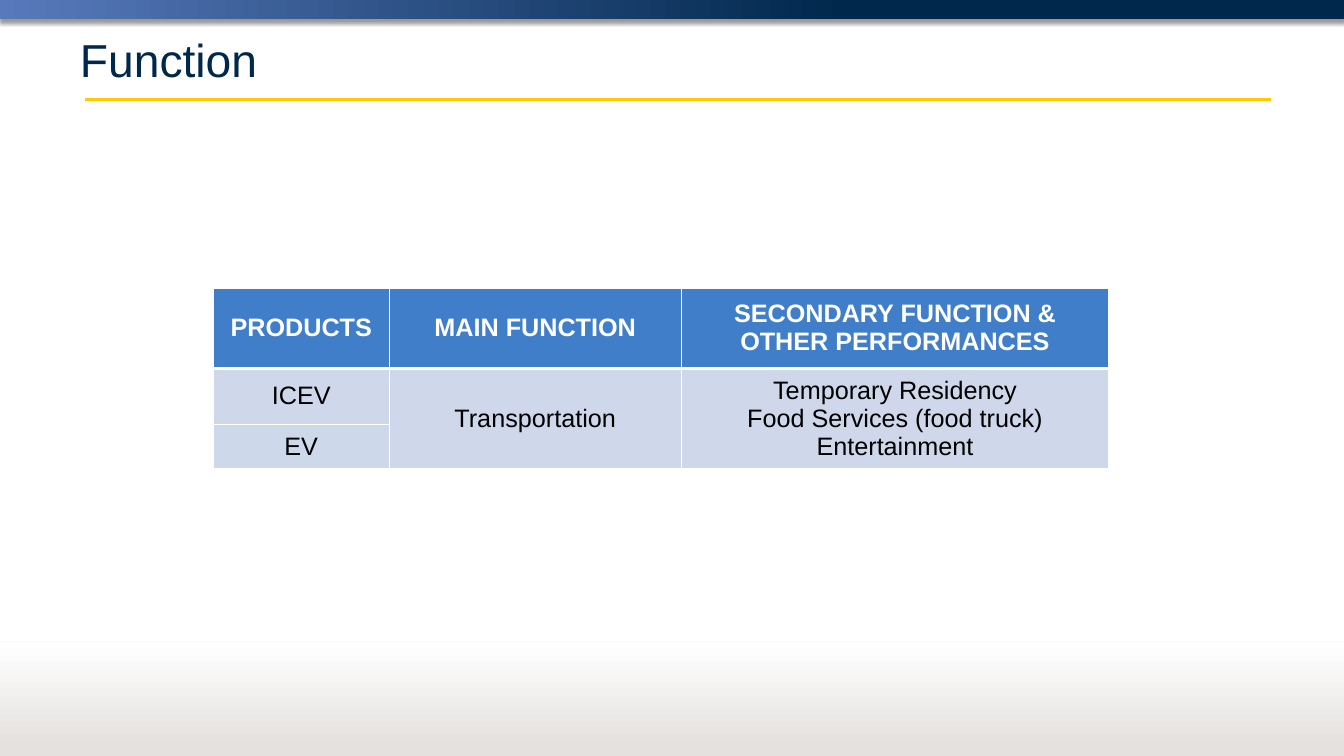
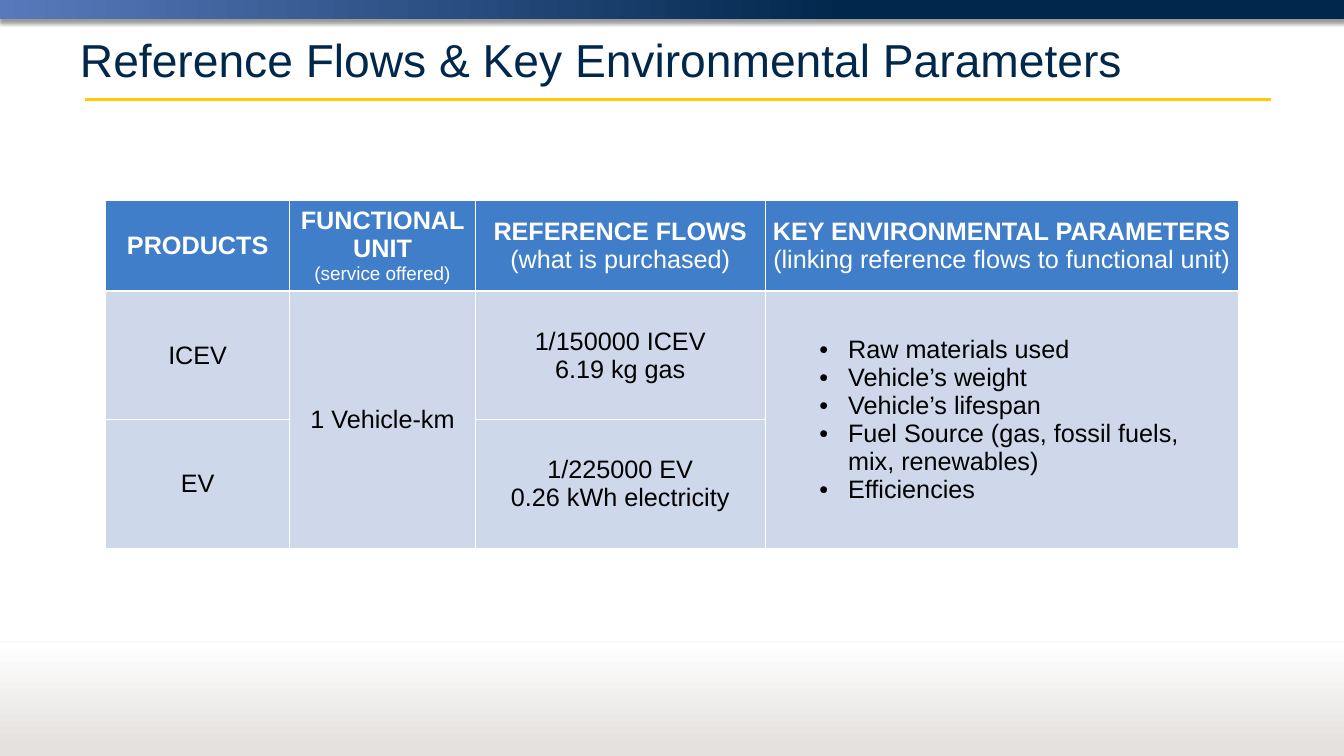
import pptx
import pptx.util
import pptx.oxml
import pptx.oxml.ns
import pptx.dml.color
import pptx.enum.shapes
import pptx.enum.text
from pptx.util import Inches

NAVY = "00274C"
GOLD = "FFCB05"
STONE = "E4E1DF"
WHITE = "FFFFFF"
BLACK = "000000"
HEADER_BLUE = "407EC9"
ROW_TINTS = [HEADER_BLUE, "CFD8EB", "CED8EB"]
NAMESPACE = pptx.oxml.ns.nsdecls("a")
CENTER = pptx.enum.text.PP_ALIGN.CENTER
LEFT = pptx.enum.text.PP_ALIGN.LEFT
MIDDLE = pptx.enum.text.MSO_ANCHOR.MIDDLE
WIDTH = 17.78


def color(code):
    return pptx.dml.color.RGBColor.from_string(code)


def write(frame, text, size=24, ink=BLACK, bold=False, align=CENTER, bullets=False, note_size=None):
    frame.word_wrap = True
    for number, line in enumerate(text.split("\n")):
        paragraph = frame.add_paragraph() if number else frame.paragraphs[0]
        paragraph.alignment = align
        run = paragraph.add_run()
        run.text = line
        is_note = bool(note_size and number)
        run.font.name = "Arial"
        run.font.size = pptx.util.Pt(note_size if is_note else size)
        run.font.bold = bold and not is_note
        run.font.color.rgb = color(ink)
        if bullets:
            properties = paragraph._p.get_or_add_pPr()
            properties.set("marL", str(Inches(1)))
            properties.set("indent", str(Inches(-0.38)))
            properties.append(pptx.oxml.parse_xml(f'<a:buFont {NAMESPACE} typeface="Arial"/>'))
            properties.append(pptx.oxml.parse_xml(f'<a:buChar {NAMESPACE} char="•"/>'))


bands = [
    (0, 0.25, [(0, "587ABC"), (63, NAVY), (100, NAVY)], 0, (40, 4, 3)),
    (8.5, 1.5, [(0, STONE), (8, STONE), (100, WHITE)], 270, None),
]
rules = [
    (1.12, 16.81, 1.32, GOLD, 3, 100, None),
    (0, WIDTH, 8.49, STONE, 0.75, 30, (38, 3.1, 1.6)),
]
pages = [
    {
        "title": "Function",
        "corner": (2.82, 3.81),
        "columns": [2.33, 3.86, 5.66],
        "rows": [1.06, 0.74, 0.59],
        "headings": [
            ("PRODUCTS", None),
            ("MAIN FUNCTION", None),
            ("SECONDARY FUNCTION & OTHER PERFORMANCES", None),
        ],
        "body": [
            ["ICEV", "Transportation", "Temporary Residency\nFood Services (food truck)\nEntertainment"],
            ["EV", None, None],
        ],
        "bulleted_column": None,
    },
    {
        "title": "Reference Flows & Key Environmental Parameters",
        "corner": (1.4, 2.65),
        "columns": [2.43, 2.46, 3.83, 6.26],
        "rows": [1.12, 1.7, 1.7],
        "headings": [
            ("PRODUCTS", None),
            ("FUNCTIONAL UNIT\n(service offered)", 18),
            ("REFERENCE FLOWS\n(what is purchased)", 24),
            ("KEY ENVIRONMENTAL PARAMETERS\n(linking reference flows to functional unit)", 24),
        ],
        "body": [
            [
                "ICEV",
                "1 Vehicle-km",
                "1/150000 ICEV\n6.19 kg gas",
                "Raw materials used\nVehicle’s weight\nVehicle’s lifespan\n"
                "Fuel Source (gas, fossil fuels, mix, renewables)\nEfficiencies",
            ],
            ["EV", None, "1/225000 EV\n0.26 kWh electricity", None],
        ],
        "bulleted_column": 3,
    },
]

deck = pptx.Presentation()
deck.slide_width = Inches(WIDTH)
deck.slide_height = Inches(10)

for page in pages:
    slide = deck.slides.add_slide(deck.slide_layouts[6])
    slide.background.fill.solid()
    slide.background.fill.fore_color.rgb = color(WHITE)
    decorations = []

    for top, height, stops, angle, shadow in bands:
        band = slide.shapes.add_shape(
            pptx.enum.shapes.MSO_SHAPE.RECTANGLE, 0, Inches(top), Inches(WIDTH), Inches(height))
        band.line.fill.background()
        band.fill.background()
        stop_xml = "".join(
            f'<a:gs pos="{place * 1000}"><a:srgbClr val="{code}"/></a:gs>' for place, code in stops)
        gradient = pptx.oxml.parse_xml(
            f'<a:gradFill {NAMESPACE} rotWithShape="1"><a:gsLst>{stop_xml}</a:gsLst>'
            f'<a:lin ang="{angle * 60000}" scaled="0"/></a:gradFill>')
        outline = band._element.spPr
        outline.replace(outline.find(pptx.oxml.ns.qn("a:noFill")), gradient)
        decorations.append((outline, shadow))

    for start, end, height, code, weight, opacity, shadow in rules:
        rule = slide.shapes.add_connector(
            pptx.enum.shapes.MSO_CONNECTOR.STRAIGHT,
            Inches(start), Inches(height), Inches(end), Inches(height))
        rule.line.width = pptx.util.Pt(weight)
        rule.line.color.rgb = color(code)
        if opacity < 100:
            tint = rule.line._ln.find(".//" + pptx.oxml.ns.qn("a:srgbClr"))
            tint.append(pptx.oxml.parse_xml(f'<a:alpha {NAMESPACE} val="{opacity * 1000}"/>'))
        decorations.append((rule._element.spPr, shadow))

    for outline, shadow in decorations:
        cast = ""
        if shadow:
            strength, blur, distance = shadow
            cast = (
                f'<a:outerShdw blurRad="{pptx.util.Pt(blur)}" dist="{pptx.util.Pt(distance)}" '
                f'dir="5400000" rotWithShape="0"><a:srgbClr val="{BLACK}">'
                f'<a:alpha val="{strength * 1000}"/></a:srgbClr></a:outerShdw>')
        outline.append(pptx.oxml.parse_xml(f"<a:effectLst {NAMESPACE}>{cast}</a:effectLst>"))

    title = slide.shapes.add_textbox(Inches(0.96), Inches(0.3), Inches(16.23), Inches(0.95))
    title.text_frame.vertical_anchor = MIDDLE
    write(title.text_frame, page["title"], size=44, ink=NAVY, align=LEFT)

    left, top = page["corner"]
    columns, rows = page["columns"], page["rows"]
    products = slide.shapes.add_table(
        len(rows), len(columns), Inches(left), Inches(top),
        Inches(sum(columns)), Inches(sum(rows))).table
    products.first_row = False
    products.horz_banding = False
    for column, width in zip(products.columns, columns):
        column.width = Inches(width)
    for row, height in zip(products.rows, rows):
        row.height = Inches(height)

    for r, tint in enumerate(ROW_TINTS):
        for c in range(len(columns)):
            cell = products.cell(r, c)
            cell.vertical_anchor = MIDDLE
            cell.fill.solid()
            spanned = r == 2 and page["body"][1][c] is None
            cell.fill.fore_color.rgb = color(ROW_TINTS[1] if spanned else tint)
            weights = {"L": 1, "R": 1, "T": 3 if r == 1 else 1, "B": 3 if r == 0 else 1}
            for position, (side, weight) in enumerate(weights.items()):
                border = pptx.oxml.parse_xml(
                    f'<a:ln{side} {NAMESPACE} w="{pptx.util.Pt(weight)}"><a:solidFill>'
                    f'<a:srgbClr val="{WHITE}"/></a:solidFill></a:ln{side}>')
                cell._tc.get_or_add_tcPr().insert(position, border)
            if r == 0:
                heading, note_size = page["headings"][c]
                write(cell.text_frame, heading, ink=WHITE, bold=True, note_size=note_size)
            elif spanned:
                products.cell(1, c).merge(cell)
            else:
                bulleted = c == page["bulleted_column"]
                write(cell.text_frame, page["body"][r - 1][c],
                      align=LEFT if bulleted else CENTER, bullets=bulleted)

deck.save("out.pptx")
